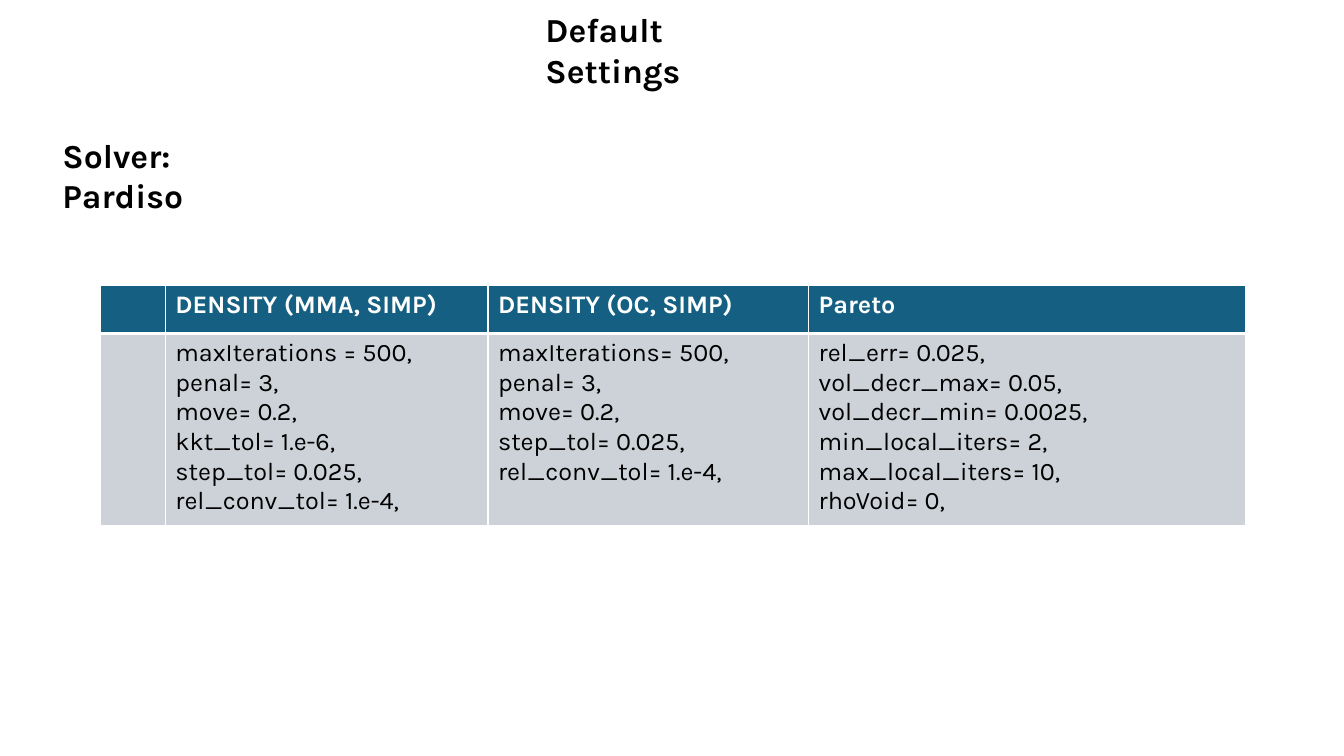
from dataclasses import dataclass

from lxml.etree import SubElement
from pptx import Presentation
from pptx.dml.color import RGBColor
from pptx.enum.text import MSO_ANCHOR, MSO_AUTO_SIZE, PP_ALIGN
from pptx.oxml.ns import qn
from pptx.util import Pt

PX = 9144  # EMU per px, 100 px to the inch


@dataclass(frozen=True)
class Theme:
    font: str = "Karla"
    heading_size: int = 24
    table_size: int = 18
    ink: str = "000000"
    paper: str = "FFFFFF"
    header_fill: str = "156082"
    body_fill: str = "CCD2D8"
    thin_rule: int = 1
    header_rule: int = 3


THEME = Theme()

SOLVER_SETTINGS = {
    "": [],
    "DENSITY (MMA, SIMP)": [
        "maxIterations = 500,", "penal= 3,", "move= 0.2,",
        "kkt_tol= 1.e-6,", "step_tol= 0.025,", "rel_conv_tol= 1.e-4,",
    ],
    "DENSITY (OC, SIMP)": [
        "maxIterations= 500,", "penal= 3,", "move= 0.2,",
        "step_tol= 0.025,", "rel_conv_tol= 1.e-4,",
    ],
    "Pareto": [
        "rel_err= 0.025,", "vol_decr_max= 0.05,", "vol_decr_min= 0.0025,",
        "min_local_iters= 2,", "max_local_iters= 10,", "rhoVoid= 0,",
    ],
}
COLUMN_WIDTHS = [64, 320, 318, 433]
ROW_HEIGHTS = [48, 190]


def emu(*lengths):
    return [length * PX for length in lengths]


def add_run(paragraph, text, size, color, bold):
    run = paragraph.add_run()
    run.text = text
    run.font.name = THEME.font
    run.font.size = Pt(size)
    run.font.bold = bold
    run.font.color.rgb = RGBColor.from_string(color)


def fill_heading(holder, box, text):
    holder.left, holder.top, holder.width, holder.height = emu(*box)
    frame = holder.text_frame
    frame.word_wrap = True
    frame.auto_size = MSO_AUTO_SIZE.NONE
    frame.vertical_anchor = MSO_ANCHOR.TOP
    paragraph = frame.paragraphs[0]
    paragraph.alignment = PP_ALIGN.LEFT
    add_run(paragraph, text, THEME.heading_size, THEME.ink, True)


def set_borders(cell, top, bottom):
    """Draw white cell edges; side edges are thin, top and bottom in points."""
    properties = cell._tc.get_or_add_tcPr()
    widths = {"L": THEME.thin_rule, "R": THEME.thin_rule, "T": top, "B": bottom}
    for side, width in widths.items():
        edge = SubElement(properties, qn(f"a:ln{side}"), w=str(Pt(width)))
        fill = SubElement(edge, qn("a:solidFill"))
        SubElement(fill, qn("a:srgbClr"), val=THEME.paper)


def fill_cell(cell, lines, is_header):
    if is_header:
        color, background = THEME.paper, THEME.header_fill
        set_borders(cell, THEME.thin_rule, THEME.header_rule)
    else:
        color, background = THEME.ink, THEME.body_fill
        set_borders(cell, THEME.header_rule, THEME.thin_rule)
    cell.fill.solid()
    cell.fill.fore_color.rgb = RGBColor.from_string(background)
    frame = cell.text_frame
    for index, line in enumerate(lines):
        paragraph = frame.add_paragraph() if index else frame.paragraphs[0]
        add_run(paragraph, line, THEME.table_size, color, is_header)


def add_settings_table(slide, left, top):
    box = emu(left, top, sum(COLUMN_WIDTHS), sum(ROW_HEIGHTS))
    table = slide.shapes.add_table(
        len(ROW_HEIGHTS), len(COLUMN_WIDTHS), *box).table
    table.horz_banding = False
    for row, height in zip(table.rows, emu(*ROW_HEIGHTS)):
        row.height = height
    for index, (method, settings) in enumerate(SOLVER_SETTINGS.items()):
        table.columns[index].width = COLUMN_WIDTHS[index] * PX
        fill_cell(table.cell(0, index), [method] if method else [], True)
        fill_cell(table.cell(1, index), settings, False)


def build_settings_slide(deck):
    slide = deck.slides.add_slide(deck.slide_layouts[5])
    fill_heading(slide.shapes.title, (531, 4, 266, 90), "Default Settings")
    add_settings_table(slide, 100, 283)
    solver_box = (52, 129, 249, 90)
    solver = slide.shapes.add_textbox(*emu(*solver_box))
    fill_heading(solver, solver_box, "Solver: Pardiso")


def main():
    deck = Presentation()
    deck.slide_width, deck.slide_height = emu(1333, 750)
    build_settings_slide(deck)
    deck.save("out.pptx")


if __name__ == "__main__":
    main()
